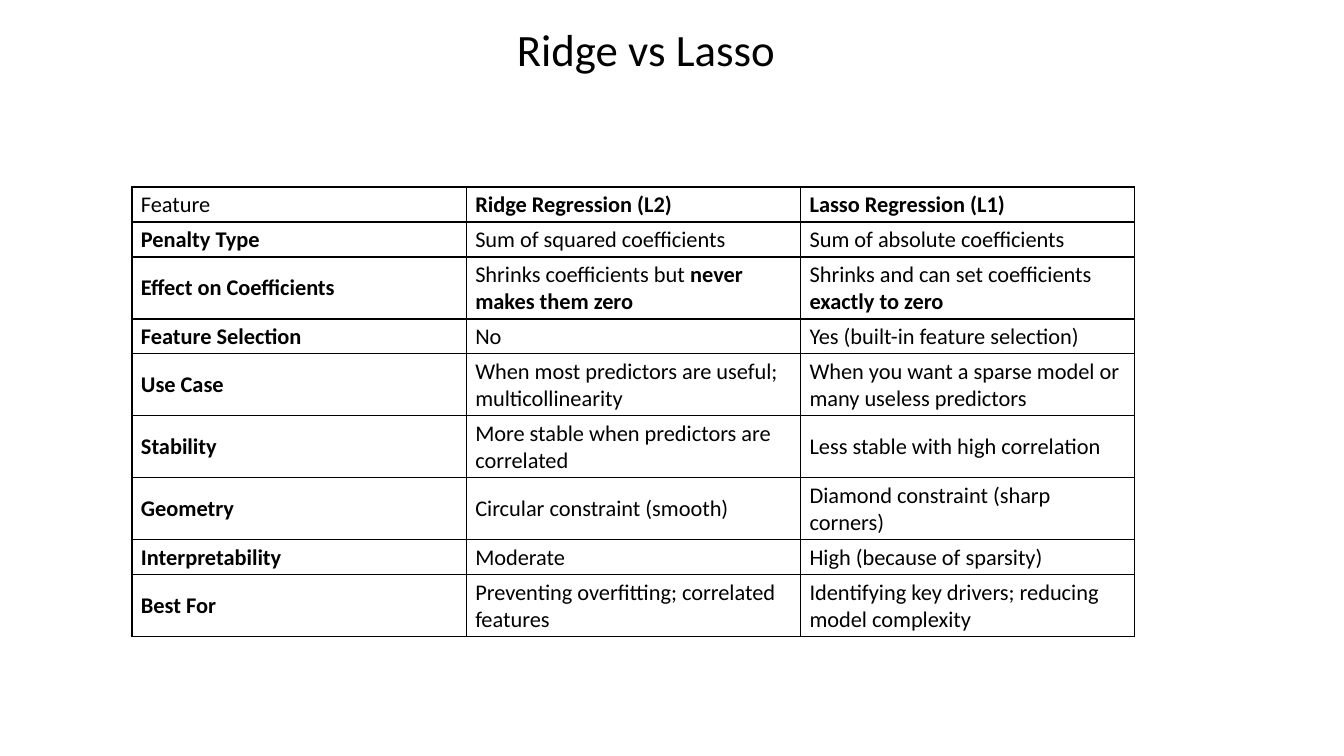
from lxml.etree import SubElement
from pptx import Presentation
from pptx.dml.color import RGBColor
from pptx.enum.text import MSO_ANCHOR as Anchor, MSO_AUTO_SIZE as AutoSize, PP_ALIGN as Align
from pptx.oxml.ns import qn
from pptx.util import Pt

EMU_PER_PX = 914400 / 100.8
FONT = "Calibri"
COLORS = {"text": "000000", "border": "000000"}
ROW_HEIGHTS = [35, 35, 62, 35, 62, 62, 62, 35, 62]
ROWS = [
    ("Feature", "**Ridge Regression (L2)**", "**Lasso Regression (L1)**"),
    ("**Penalty Type**", "Sum of squared coefficients", "Sum of absolute coefficients"),
    ("**Effect on Coefficients**", "Shrinks coefficients but **never makes them zero**",
     "Shrinks and can set coefficients **exactly to zero**"),
    ("**Feature Selection**", "No", "Yes (built-in feature selection)"),
    ("**Use Case**", "When most predictors are useful; multicollinearity",
     "When you want a sparse model or many useless predictors"),
    ("**Stability**", "More stable when predictors are correlated",
     "Less stable with high correlation"),
    ("**Geometry**", "Circular constraint (smooth)", "Diamond constraint (sharp corners)"),
    ("**Interpretability**", "Moderate", "High (because of sparsity)"),
    ("**Best For**", "Preventing overfitting; correlated features",
     "Identifying key drivers; reducing model complexity"),
]


def px(length):
    """Turn px into EMU."""
    return round(length * EMU_PER_PX)


def style_font(font, size, bold=False):
    """Set the typeface, size, weight and colour of a font."""
    font.name, font.size, font.bold = FONT, Pt(size), bold
    font.color.rgb = RGBColor.from_string(COLORS["text"])


def add_borders(cell):
    """Draw a one-point line on all four sides of a cell."""
    properties = cell._tc.get_or_add_tcPr()
    for position, side in enumerate(("a:lnL", "a:lnR", "a:lnT", "a:lnB")):
        border = SubElement(properties, qn(side), w=str(Pt(1)))
        fill = SubElement(border, qn("a:solidFill"))
        SubElement(fill, qn("a:srgbClr"), val=COLORS["border"])
        properties.insert(position, border)


def fill_cell(cell, marked_text):
    """Write text into a cell, with the parts between ** in bold."""
    cell.fill.background()
    add_borders(cell)
    cell.vertical_anchor = Anchor.MIDDLE
    cell.margin_left = cell.margin_right = px(9)
    cell.margin_top = cell.margin_bottom = px(4)
    paragraph = cell.text_frame.paragraphs[0]
    for index, part in enumerate(marked_text.split("**")):
        if part:
            run = paragraph.add_run()
            run.text = part
            style_font(run.font, 16, bold=index % 2 == 1)


def place_title(slide, left, top, width, height):
    """Place the heading in the title placeholder."""
    title = slide.shapes.title
    title.left, title.top, title.width, title.height = map(px, (left, top, width, height))
    title.text_frame.text = "Ridge vs Lasso"
    title.text_frame.auto_size = AutoSize.SHAPE_TO_FIT_TEXT
    heading = title.text_frame.paragraphs[0]
    heading.alignment = Align.CENTER
    style_font(heading.runs[0].font, 32)


def place_comparison(slide, left, top, width):
    """Place the comparison table with equal columns."""
    column_count = len(ROWS[0])
    frame = slide.shapes.add_table(len(ROWS), column_count, px(left), px(top),
                                   px(width), px(sum(ROW_HEIGHTS)))
    comparison = frame.table
    comparison.first_row = comparison.horz_banding = False
    for column in comparison.columns:
        column.width = px(width / column_count)
    for row, height, texts in zip(comparison.rows, ROW_HEIGHTS, ROWS):
        row.height = px(height)
        for cell, text in zip(row.cells, texts):
            fill_cell(cell, text)


def main():
    """Build the slide and save it."""
    deck = Presentation()
    deck.slide_width, deck.slide_height = px(1344), px(756)
    slide = deck.slides.add_slide(deck.slide_layouts[5])
    place_title(slide, 253, 16, 786, 65)
    place_comparison(slide, 132, 187, 1003)
    deck.save("out.pptx")


if __name__ == "__main__":
    main()
